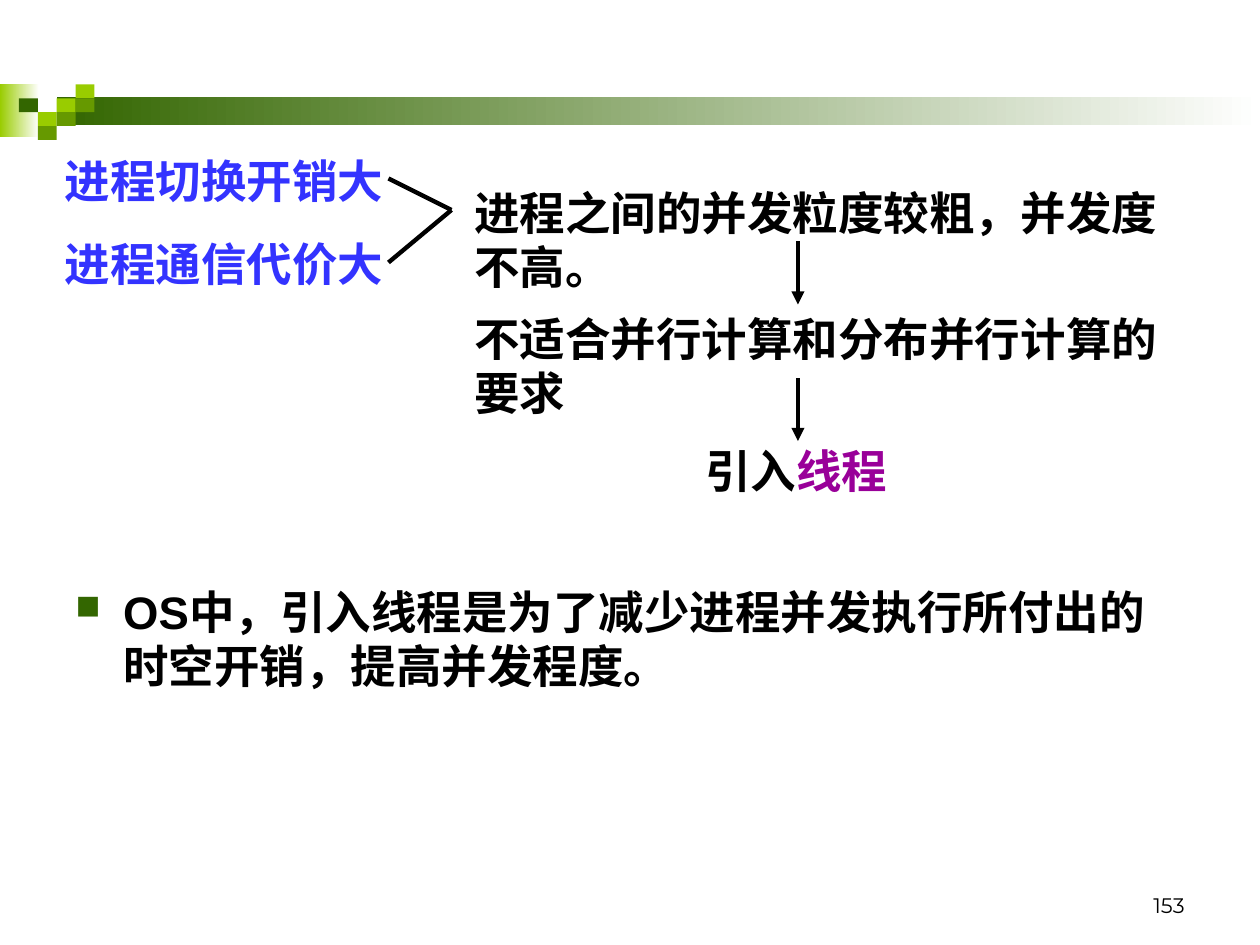
import pptx
import pptx.dml.color
import pptx.enum.dml
import pptx.enum.shapes
import pptx.enum.text
import pptx.oxml
import pptx.oxml.ns
import pptx.util

RGBColor = pptx.dml.color.RGBColor
WHITE = RGBColor(0xFF, 0xFF, 0xFF)
BLACK = RGBColor(0x00, 0x00, 0x00)
LIME = RGBColor(0x99, 0xCC, 0x00)
GREEN = RGBColor(0x66, 0x99, 0x00)
DARK_GREEN = RGBColor(0x33, 0x66, 0x00)
BLUE = RGBColor(0x33, 0x33, 0xFF)
PURPLE = RGBColor(0x99, 0x00, 0x99)
CHINESE_FONT = "Noto Sans CJK SC"

presentation = pptx.Presentation()
presentation.slide_width = pptx.util.Inches(10)
presentation.slide_height = pptx.util.Inches(7.5)
slide = presentation.slides.add_slide(presentation.slide_layouts[6])
column = presentation.slide_width // 120
row = presentation.slide_height // 90


def add_block(left, top, width, height, *colors):
    shape = slide.shapes.add_shape(
        pptx.enum.shapes.MSO_SHAPE.RECTANGLE,
        *(pptx.util.Inches(length) for length in (left, top, width, height)))
    shape.shadow.inherit = False
    shape.line.fill.background()
    if len(colors) == 1:
        shape.fill.solid()
        shape.fill.fore_color.rgb = colors[0]
    else:
        shape.fill.gradient()
        shape.fill.gradient_angle = 0
        for stop, color, position in zip(shape.fill.gradient_stops, colors, (0, 1)):
            stop.color.rgb = color
            stop.position = position


def add_text(left, top, width, height, paragraphs, size=26, font=CHINESE_FONT, bold=True):
    box = slide.shapes.add_textbox(left * column, top * row, width * column, height * row)
    frame = box.text_frame
    frame.word_wrap = True
    for index, pieces in enumerate(paragraphs):
        paragraph = frame.add_paragraph() if index else frame.paragraphs[0]
        if index:
            paragraph.space_before = pptx.util.Pt(16.2)
        for text, color in pieces:
            run = paragraph.add_run()
            run.text = text
            run.font.size = pptx.util.Pt(size)
            run.font.bold = bold
            run.font.name = font
            run.font.color.rgb = color
            east_asian = pptx.oxml.parse_xml(
                f'<a:ea {pptx.oxml.ns.nsdecls("a")} typeface="{CHINESE_FONT}"/>')
            run.font._element.find(pptx.oxml.ns.qn("a:latin")).addnext(east_asian)
    return frame


tile_width, tile_height = 0.15, 0.11
tiles_left, tiles_top = 0.15, 0.67
add_block(0, tiles_top, 0.31, 0.42, LIME, WHITE)
add_block(0.45, 0.77, 9.55, 0.22, DARK_GREEN, WHITE)
tiles = [(2, 1, LIME), (3, 0, LIME), (3, 1, GREEN), (1, 2, LIME),
         (0, 1, DARK_GREEN), (2, 2, GREEN), (1, 3, GREEN)]
for tile_column, tile_row, color in tiles:
    add_block(tiles_left + tile_column * tile_width, tiles_top + tile_row * tile_height,
              tile_width, tile_height, color)

number = add_text(86, 82, 28, 6, [[("153", BLACK)]], size=12, font="Montserrat", bold=False)
number.vertical_anchor = pptx.enum.text.MSO_ANCHOR.BOTTOM
number.paragraphs[0].alignment = pptx.enum.text.PP_ALIGN.RIGHT

add_text(5, 14, 33, 14.3, [[("进程切换开销大", BLUE)], [("进程通信代价大", BLUE)]])
add_text(44, 17, 71, 11.6, [[("进程之间的并发粒度较粗，并发度不高。", BLACK)]])
add_text(66, 41.6, 23, 6.5, [[("引入", BLACK), ("线程", PURPLE)]])
add_text(44, 29, 71, 11.6, [[("不适合并行计算和分布并行计算的要求", BLACK)]])

connections = [(76, 23, 76, 29, True), (76, 36, 76, 42, True),
               (37, 17, 43, 20, False), (43, 20, 37, 25, False)]
for start_x, start_y, end_x, end_y, has_arrow in connections:
    connector = slide.shapes.add_connector(
        pptx.enum.shapes.MSO_CONNECTOR.STRAIGHT,
        start_x * column, start_y * row, end_x * column, end_y * row)
    connector.line.color.rgb = BLACK
    connector.line.width = pptx.util.Pt(2.5)
    properties = connector._element.spPr
    if has_arrow:
        properties.find(pptx.oxml.ns.qn("a:ln")).append(pptx.oxml.parse_xml(
            f'<a:tailEnd {pptx.oxml.ns.nsdecls("a")} type="triangle"/>'))
    properties.append(pptx.oxml.parse_xml(f'<a:effectLst {pptx.oxml.ns.nsdecls("a")}/>'))

summary = add_text(
    6, 55, 108, 23,
    [[("OS中，引入线程是为了减少进程并发执行所付出的时空开销，提高并发程度。", BLACK)]],
    font="Arial")
bullet_properties = summary.paragraphs[0]._p.get_or_add_pPr()
indent = pptx.util.Inches(0.38)
bullet_properties.set("marL", str(indent))
bullet_properties.set("indent", str(-indent))
for bullet_part in (f'<a:buClr {{}}><a:srgbClr val="{DARK_GREEN}"/></a:buClr>',
                    '<a:buSzPct {} val="75000"/>',
                    '<a:buChar {} char="■"/>'):
    bullet_properties.append(pptx.oxml.parse_xml(
        bullet_part.format(pptx.oxml.ns.nsdecls("a"))))

presentation.save("out.pptx")
